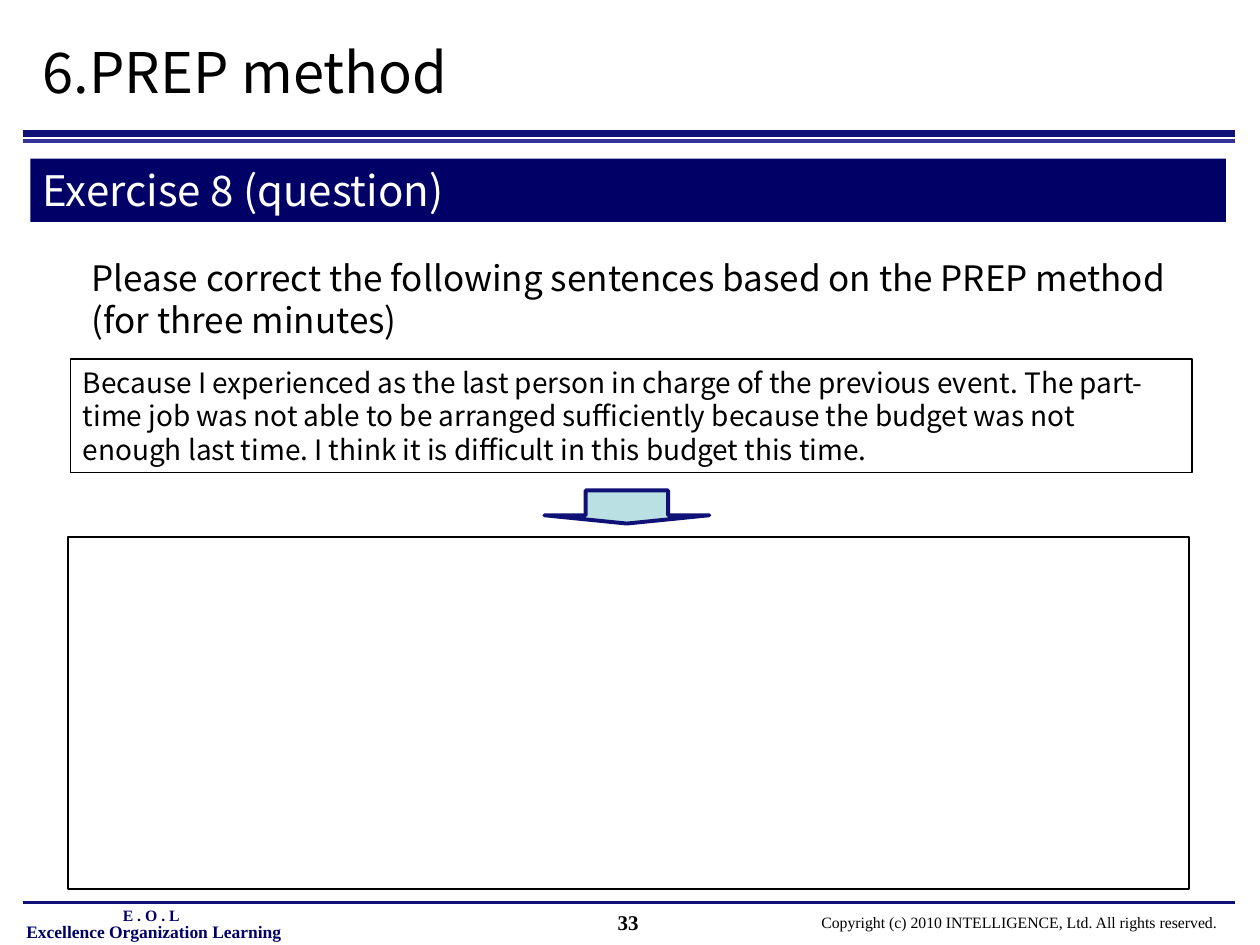
import pptx
import pptx.util
import pptx.dml.color
import pptx.enum.shapes
import pptx.enum.text
import pptx.oxml

WIDTH, HEIGHT = 10, 7.5
NAVY, DEEP_NAVY, BLACK = "0F1176", "000066", "000000"
SANS, SERIF = "Noto Sans CJK JP", "Times New Roman"
CENTER = pptx.enum.text.PP_ALIGN.CENTER
SHAPES = pptx.enum.shapes.MSO_SHAPE


def color(value):
    """Turn a hex string into a colour."""
    return pptx.dml.color.RGBColor.from_string(value)


def place(box):
    """Turn left, top, width and height shares of the slide into lengths."""
    sizes = (WIDTH, HEIGHT, WIDTH, HEIGHT)
    return [pptx.util.Inches(share * size) for share, size in zip(box, sizes)]


def write(shape, text, size, font=SANS, ink=BLACK, bold=False, align=pptx.enum.text.PP_ALIGN.LEFT, wrap=True):
    """Set and format the one paragraph of a shape."""
    frame = shape.text_frame
    frame.text = text
    frame.word_wrap = wrap
    frame.auto_size = pptx.enum.text.MSO_AUTO_SIZE.NONE
    frame.vertical_anchor = pptx.enum.text.MSO_ANCHOR.TOP
    paragraph = frame.paragraphs[0]
    paragraph.alignment = align
    for run in paragraph.runs:
        run.font.size = pptx.util.Pt(size)
        run.font.name = font
        run.font.bold = bold
        run.font.color.rgb = color(ink)


def add_title(slide, box, text):
    """Move and format the title placeholder."""
    title = slide.shapes.title
    title.left, title.top, title.width, title.height = place(box)
    write(title, text, 32)


def add_text(slide, box, text, size, **style):
    """Add a text box."""
    write(slide.shapes.add_textbox(*place(box)), text, size, **style)


def add_rule(slide, top, weight, ink=NAVY):
    """Add a horizontal rule across the slide."""
    left, top, width, _ = place((0.018, top, 0.962, 0))
    rule = slide.shapes.add_connector(
        pptx.enum.shapes.MSO_CONNECTOR.STRAIGHT, left, top, left + width, top)
    rule.line.color.rgb = color(ink)
    rule.line.width = pptx.util.Pt(weight)
    rule._element.spPr.append(pptx.oxml.parse_xml(
        '<a:effectLst xmlns:a="http://schemas.openxmlformats.org/drawingml/2006/main"/>'))


def add_block(slide, kind, box, fill=None, line=None, weight=1):
    """Add a preset shape with an optional fill and outline."""
    shape = slide.shapes.add_shape(kind, *place(box))
    shape.shadow.inherit = False
    if fill:
        shape.fill.solid()
        shape.fill.fore_color.rgb = color(fill)
    else:
        shape.fill.background()
    if line:
        shape.line.color.rgb = color(line)
        shape.line.width = pptx.util.Pt(weight)
    else:
        shape.line.fill.background()
    return shape


def add_footer(slide):
    """Add the footer rule, the organization, the page number and the copyright."""
    add_rule(slide, 0.955, 2)
    mark = dict(font=SERIF, ink=DEEP_NAVY, bold=True, align=CENTER)
    add_text(slide, (-0.004, 0.968, 0.252, 0.036), "Excellence Organization Learning", 10, **mark)
    add_text(slide, (0.004, 0.952, 0.232, 0.033), "E . O . L", 9, **mark)
    add_text(slide, (0.382, 0.956, 0.233, 0.044), "33", 12, font=SERIF, bold=True, align=CENTER)
    add_text(slide, (0.642, 0.959, 0.334, 0.033),
             "Copyright (c) 2010 INTELLIGENCE, Ltd. All rights reserved.", 9, font=SERIF, wrap=False)


def main():
    """Build the exercise slide."""
    presentation = pptx.Presentation()
    presentation.slide_width = pptx.util.Inches(WIDTH)
    presentation.slide_height = pptx.util.Inches(HEIGHT)
    slide = presentation.slides.add_slide(presentation.slide_layouts[5])

    add_title(slide, (0.024, 0.033, 0.768, 0.085), "6.PREP method")
    add_rule(slide, 0.141, 4)
    add_rule(slide, 0.149, 2, "333399")
    banner = add_block(slide, SHAPES.RECTANGLE, (0.024, 0.168, 0.949, 0.067), fill=DEEP_NAVY)
    write(banner, "Exercise 8 (question)", 24, ink="FFFFFF")
    add_text(slide, (0.063, 0.265, 0.89, 0.103),
             "Please correct the following sentences based on the PREP method (for three minutes)", 20)
    question = add_block(slide, SHAPES.RECTANGLE, (0.056, 0.38, 0.89, 0.12), line=BLACK)
    write(question,
          "Because I experienced as the last person in charge of the previous event. "
          "The part-time job was not able to be arranged sufficiently because the budget "
          "was not enough last time. I think it is difficult in this budget this time.", 16)
    add_block(slide, SHAPES.RECTANGLE, (0.054, 0.568, 0.89, 0.373), line=BLACK)
    arrow = add_block(slide, SHAPES.DOWN_ARROW, (0.432, 0.519, 0.131, 0.035),
                      fill="BBE0E3", line=NAVY, weight=2.25)
    arrow.adjustments[0], arrow.adjustments[1] = 0.5, 0.25
    add_footer(slide)
    presentation.save("out.pptx")


if __name__ == "__main__":
    main()
